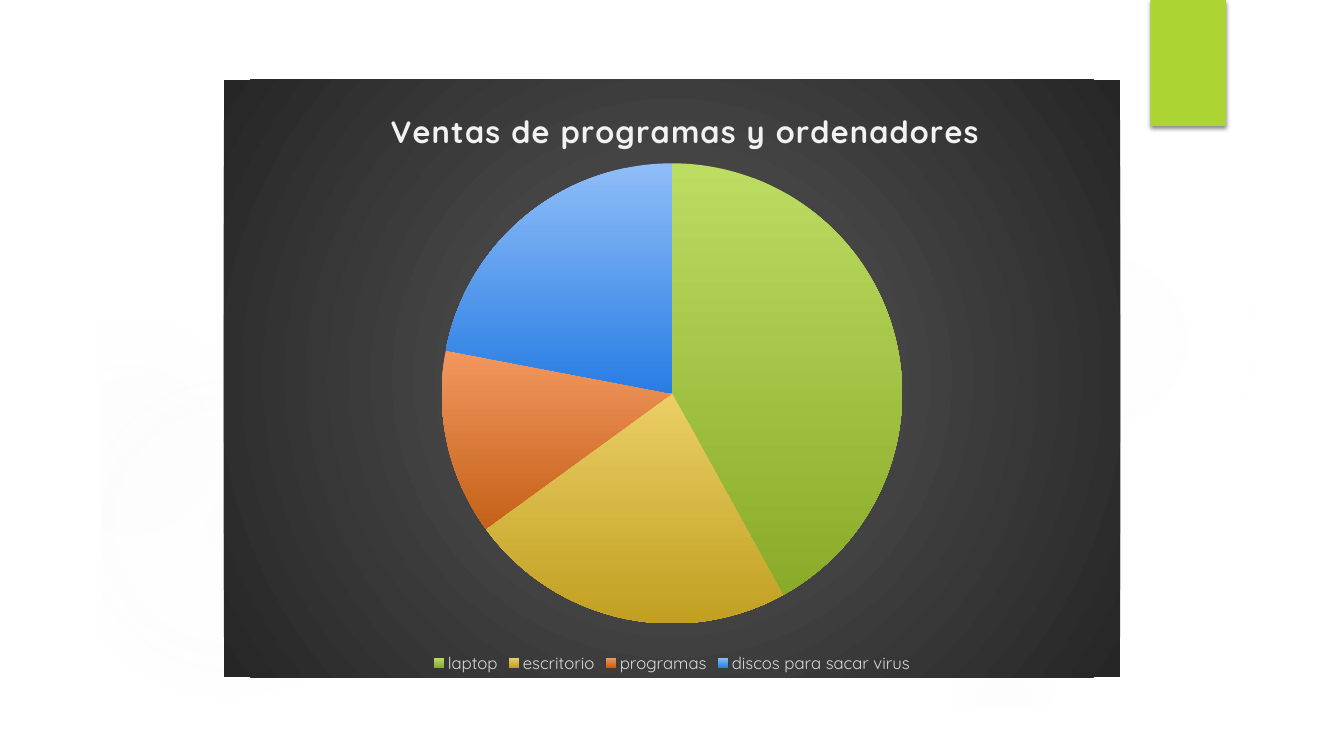
from lxml import etree
from pptx import Presentation
from pptx.chart.data import CategoryChartData
from pptx.dml.color import RGBColor
from pptx.enum.chart import XL_CHART_TYPE, XL_LEGEND_POSITION
from pptx.enum.shapes import MSO_SHAPE
from pptx.oxml import parse_xml
from pptx.oxml.ns import qn
from pptx.util import Inches, Pt

PIE = XL_CHART_TYPE.PIE
BOTTOM = XL_LEGEND_POSITION.BOTTOM
OVAL = MSO_SHAPE.OVAL
RECT = MSO_SHAPE.RECTANGLE
NS = ('xmlns:a="http://schemas.openxmlformats.org/drawingml/2006/main" '
      'xmlns:c="http://schemas.openxmlformats.org/drawingml/2006/chart"')


def rgb(color):
    return RGBColor.from_string(color)


def gradient(stops, radial=False):
    """Gradient fill from (position %, colour, opacity %) stops."""
    gs = "".join(
        f'<a:gs pos="{pos * 1000}"><a:srgbClr val="{color}">'
        f'<a:alpha val="{alpha * 1000}"/></a:srgbClr></a:gs>'
        for pos, color, alpha in stops)
    way = ('<a:path path="circle"><a:fillToRect l="50000" t="50000" r="50000" '
           'b="50000"/></a:path>' if radial else '<a:lin ang="5400000" scaled="0"/>')
    return parse_xml(f'<a:gradFill {NS} rotWithShape="1"><a:gsLst>{gs}</a:gsLst>'
                     f'{way}</a:gradFill>')


class Slide:
    font = "Quicksand"

    def __init__(self, prs):
        self.s = prs.slides.add_slide(prs.slide_layouts[6])

    def plain(self, sp, fill=None):
        sp.shadow.inherit = False
        sp.line.fill.background()
        if fill:
            sp.fill.solid()
            sp.fill.fore_color.rgb = rgb(fill)
        return sp

    def glow(self, x, y, size, stops):
        sp = self.plain(self.s.shapes.add_shape(
            OVAL, Inches(x), Inches(y), Inches(size), Inches(size)))
        sp.fill.background()
        spPr = sp._element.spPr
        spPr.replace(spPr.find(qn("a:noFill")), gradient(stops, radial=True))

    def frame(self, outer, inner, fill):
        fb = self.s.shapes.build_freeform(0, 0, scale=Inches(1))
        for i, (x1, y1, x2, y2) in enumerate((outer, inner)):
            corners = [(x1, y1), (x1, y2), (x2, y2), (x2, y1)]
            if i:
                corners.reverse()
            fb.move_to(*corners[0])
            fb.add_line_segments(corners[1:], close=True)
        self.plain(fb.convert_to_shape(), fill)

    def tab(self, x, y, w, h, fill):
        sp = self.plain(self.s.shapes.add_shape(
            RECT, Inches(x), Inches(y), Inches(w), Inches(h)), fill)
        effects = sp._element.spPr.find(qn("a:effectLst"))
        effects.append(parse_xml(
            f'<a:outerShdw {NS} blurRad="{Pt(3)}" dist="{Pt(2)}" dir="5400000" '
            'rotWithShape="0"><a:srgbClr val="000000"><a:alpha val="45000"/>'
            '</a:srgbClr></a:outerShdw>'))

    def style(self, font, size, color, bold=False):
        font.name, font.size, font.bold = self.font, Pt(size), bold
        font.color.rgb = rgb(color)

    def layout(self, element, **values):
        """Place a chart part by fractions of the chart area."""
        old = element.find(qn("c:layout"))
        if old is not None:
            element.remove(old)
        inner = '<c:layoutTarget val="inner"/>' if "w" in values else ""
        modes = '<c:xMode val="edge"/><c:yMode val="edge"/>'
        sizes = "".join(f'<c:{k} val="{v}"/>' for k, v in values.items())
        node = parse_xml(f'<c:layout {NS}><c:manualLayout>{inner}{modes}{sizes}'
                         '</c:manualLayout></c:layout>')
        tx = element.find(qn("c:tx"))
        element.insert(0 if tx is None else 1, node)

    def pie(self, x, y, w, h, title, slices, background):
        data = CategoryChartData()
        data.categories = [name for name, *_ in slices]
        data.add_series("Series 1", [value for _, value, *_ in slices])
        chart = self.s.shapes.add_chart(
            PIE, Inches(x), Inches(y), Inches(w), Inches(h), data).chart
        self.style(chart.font, 10, "000000")

        # Title
        chart.has_title = True
        r = chart.chart_title.text_frame.paragraphs[0].add_run()
        r.text = title
        self.style(r.font, 22, "F2F2F2", bold=True)
        r.font._element.set("spc", "100")
        chart.chart_title.include_in_layout = False
        self.layout(chart.chart_title._element, x=0.18, y=0.04)

        # Legend
        chart.has_legend = True
        chart.legend.position = BOTTOM
        chart.legend.include_in_layout = False
        self.style(chart.legend.font, 12, "D9D9D9")

        # Slices
        plot = chart.plots[0]
        plot.vary_by_categories = True
        series = plot.series[0]
        for i in range(len(slices)):
            fmt = series.points[i].format
            fmt.fill.background()
            fmt.line.fill.background()
        for dPt, (_, _, top, bottom) in zip(series._element.findall(qn("c:dPt")), slices):
            spPr = dPt.find(qn("c:spPr"))
            spPr.replace(spPr.find(qn("a:noFill")),
                         gradient([(0, top, 100), (100, bottom, 100)]))

        # Chart area and plot area
        space = chart._chartSpace
        area = etree.Element(qn("c:spPr"))
        area.append(gradient(background, radial=True))
        area.append(parse_xml(f'<a:ln {NS}><a:noFill/></a:ln>'))
        space.find(qn("c:txPr")).addprevious(area)
        self.layout(space.find(f'.//{qn("c:plotArea")}'), x=0.24, y=0.14, w=0.52, h=0.77)


def main():
    prs = Presentation()
    prs.slide_width, prs.slide_height = Inches(13.33), Inches(7.5)
    slide = Slide(prs)

    # Faint background glows: left, top, size, then (position, opacity) stops
    for x, y, size, stops in (
            (0, 2.92, 4.58, [(0, 11), (36, 10), (75, 0)]),
            (0, 3.17, 2.58, [(0, 8), (36, 8), (72, 0)]),
            (9.41, 1.83, 3.08, [(0, 7), (36, 6), (69, 0)]),
            (8.75, 0, 1.75, [(0, 14), (36, 7), (73, 0)]),
            (9.41, 6.42, 1.08, [(0, 14), (36, 7), (66, 0)])):
        slide.glow(x, y, size, [(pos, "F7F7F7", alpha) for pos, alpha in stops])

    # White frame and green tab
    slide.frame((0, 0, 13.33, 7.5), (0.52, 0.52, 12.81, 6.98), "FFFFFF")
    slide.tab(11.41, 0, 0.75, 1.25, "ACD433")

    # Sales pie
    slide.pie(2.22, 0.79, 8.89, 5.93, "Ventas de programas y ordenadores", [
        ("laptop", 42, "BCDC62", "8AAA29"),
        ("escritorio", 23, "EBCE66", "C1A021"),
        ("programas", 13, "F2975F", "C56118"),
        ("discos para sacar virus", 22, "8FBDF8", "287DE4"),
    ], [(0, "595959", 100), (100, "262626", 100)])

    prs.save("out.pptx")


if __name__ == "__main__":
    main()
